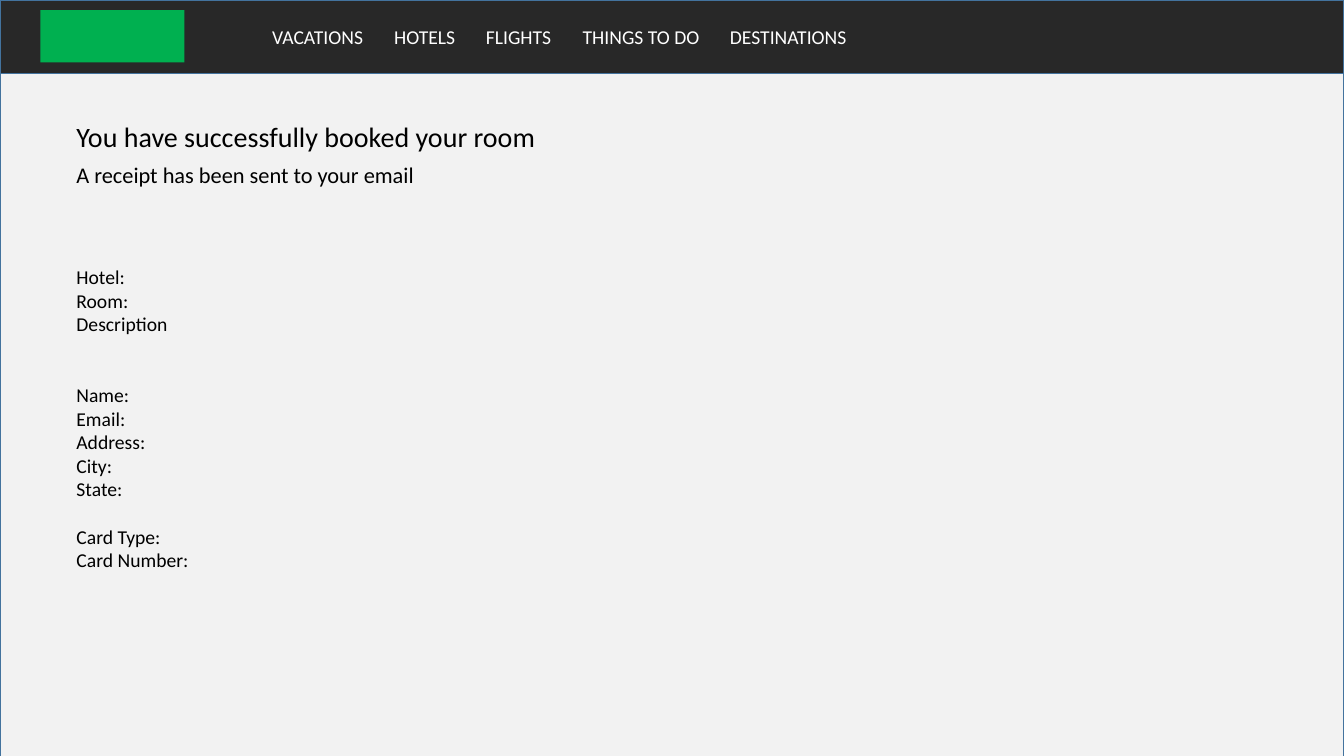
from pptx import Presentation
from pptx.dml.color import RGBColor
from pptx.enum.shapes import MSO_SHAPE as Shape
from pptx.oxml.ns import qn
from pptx.util import Inches, Pt
from lxml import etree

# Content
# Menu item and its start, in inches from the first item
MENU = [("VACATIONS", 0), ("HOTELS", 1.21), ("FLIGHTS", 2.12),
        ("THINGS TO DO", 3.08), ("DESTINATIONS", 4.54)]
HEADING = "You have successfully booked your room"
RECEIPT = "A receipt has been sent to your email"
# Space before each group in points, then its lines
DETAILS = [
    (55, ["Hotel:", "Room:", "Description"]),
    (34, ["Name:", "Email:", "Address:", "City:", "State:"]),
    (17, ["Card Type:", "Card Number:"]),
]

THEME = {
    "font": "Calibri",
    "white": "FFFFFF", "black": "000000", "green": "00B050",
    "page": "F2F2F2", "border": "43739E",
    "title": 20, "subtitle": 16, "body": 14,
}
SLIDE_W, SLIDE_H = 13.33, 7.5
LEFT, TEXT_W = 0.66, 6.66


def add_block(s, box, fill, border=None, alpha=None):
    sp = s.shapes.add_shape(Shape.RECTANGLE, *map(Inches, box))
    sp.shadow.inherit = False
    sp.fill.solid()
    sp.fill.fore_color.rgb = RGBColor.from_string(THEME[fill])
    if alpha is not None:
        color = sp.fill._xPr.find(qn("a:solidFill"))[0]
        etree.SubElement(color, qn("a:alpha")).set("val", str(alpha * 1000))
    if border:
        sp.line.color.rgb = RGBColor.from_string(THEME[border])
        sp.line.width = Pt(1)
    else:
        sp.line.fill.background()


def add_text_box(s, box):
    tf = s.shapes.add_textbox(*map(Inches, box)).text_frame
    tf.word_wrap = True
    return tf


def add_run(p, text, size, color="black"):
    r = p.add_run()
    r.text = text
    r.font.name = THEME["font"]
    r.font.size = Pt(THEME[size])
    r.font.color.rgb = RGBColor.from_string(THEME[color])


def add_tabs(p, stops):
    tabs = etree.SubElement(p._p.get_or_add_pPr(), qn("a:tabLst"))
    for stop in stops:
        etree.SubElement(tabs, qn("a:tab"), pos=str(Inches(stop)), algn="l")


def main():
    prs = Presentation()
    prs.slide_width, prs.slide_height = Inches(SLIDE_W), Inches(SLIDE_H)
    s = prs.slides.add_slide(prs.slide_layouts[6])

    # Page panel, header bar and plain marker
    add_block(s, (0, 0, SLIDE_W, 7.67), "page", "border")
    add_block(s, (0, 0, SLIDE_W, 0.73), "black", "border", 83)
    add_block(s, (0.4, 0.1, 1.43, 0.52), "green")

    # Menu, spaced by tab stops
    p = add_text_box(s, (2.6, 0.2, 6.31, 0.34)).paragraphs[0]
    add_tabs(p, [start for _, start in MENU[1:]])
    add_run(p, "\t".join(name for name, _ in MENU), "body", "white")

    # Receipt note and booking details
    tf = add_text_box(s, (LEFT, 1.55, TEXT_W, 4.44))
    add_run(tf.paragraphs[0], RECEIPT, "subtitle")
    for gap, lines in DETAILS:
        for i, line in enumerate(lines):
            p = tf.add_paragraph()
            if i == 0:
                p.space_before = Pt(gap)
            add_run(p, line, "body")

    # Heading
    tf = add_text_box(s, (LEFT, 1.14, TEXT_W, 0.44))
    add_run(tf.paragraphs[0], HEADING, "title")

    prs.save("out.pptx")


if __name__ == "__main__":
    main()
